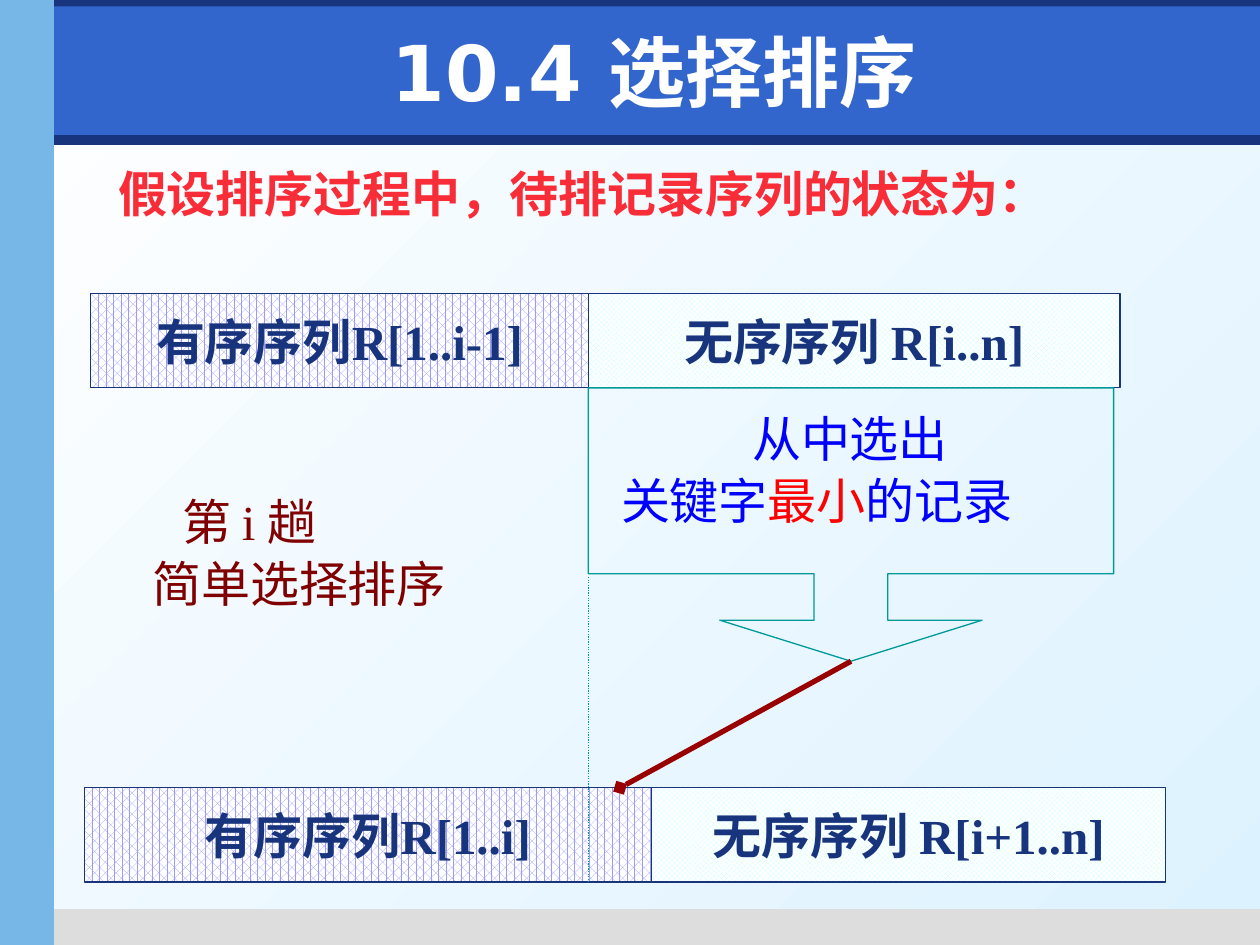
from pptx import Presentation
from pptx.dml.color import RGBColor
from pptx.enum.dml import MSO_LINE_DASH_STYLE as DASH, MSO_PATTERN_TYPE as PATTERN
from pptx.enum.shapes import MSO_CONNECTOR, MSO_SHAPE
from pptx.enum.text import MSO_ANCHOR as ANCHOR, PP_ALIGN as ALIGN
from pptx.oxml.ns import qn
from pptx.util import Cm, Pt
from lxml.etree import SubElement

COLORS = {
    "navy": "17347D", "blue": "3366CC", "sky": "77B7E7", "gray": "DDDDDD",
    "white": "FFFFFF", "pale": "DDF2FF", "lilac": "9999FF", "mint": "CCFFFF",
    "teal": "009999", "rose": "F92D37", "maroon": "800000", "crimson": "990000",
    "ink": "0000FF", "red": "FF0000",
}
SERIF, SANS, CJK = "Times New Roman", "DejaVu Sans", "Noto Sans CJK SC"


def rgb(name):
    return RGBColor.from_string(COLORS[name])


def write(p, text, color="navy", size=28, font=SERIF, bold=False):
    """Append a formatted run to paragraph p."""
    r = p.add_run()
    r.text = text
    r.font.size, r.font.bold, r.font.name = Pt(size), bold, font
    r.font.color.rgb = rgb(color)
    SubElement(r.font._element, qn("a:ea"), typeface=CJK)


class Builder:
    def __init__(self, slide):
        self.s = slide

    def background(self, start, end):
        fill = self.s.background.fill
        fill.gradient()
        fill.gradient_angle = 315
        for stop, name in zip(fill.gradient_stops, (start, end)):
            stop.color.rgb = rgb(name)

    def shape(self, kind, box, line=None):
        sp = self.s.shapes.add_shape(kind, *map(Cm, box))
        sp.shadow.inherit = False
        if line:
            sp.line.color.rgb = rgb(line)
            sp.line.width = Pt(0.75)
        else:
            sp.line.fill.background()
        return sp

    def band(self, color, *box):
        sp = self.shape(MSO_SHAPE.RECTANGLE, box)
        sp.fill.solid()
        sp.fill.fore_color.rgb = rgb(color)
        return sp

    def sequence(self, text, box, pattern, color):
        """Draw one part of a record sequence as a patterned, labelled bar."""
        sp = self.shape(MSO_SHAPE.RECTANGLE, box, "navy")
        sp.fill.patterned()
        sp.fill.pattern = pattern
        sp.fill.fore_color.rgb, sp.fill.back_color.rgb = rgb(color), rgb("white")
        tf = sp.text_frame
        tf.word_wrap, tf.vertical_anchor = False, ANCHOR.MIDDLE
        p = tf.paragraphs[0]
        p.alignment = ALIGN.CENTER
        write(p, text, bold=True)

    def callout(self, box, adjustments):
        sp = self.shape(MSO_SHAPE.DOWN_ARROW_CALLOUT, box, "teal")
        sp.fill.background()
        for i, value in enumerate(adjustments):
            sp.adjustments[i] = value
        return sp

    def text(self, box, lines, wrap=True, spacing=1.05, bold=False):
        """Add a text box; each line is a list of (text, color) pairs."""
        tf = self.s.shapes.add_textbox(*map(Cm, box)).text_frame
        tf.word_wrap = wrap
        for i, line in enumerate(lines):
            p = tf.add_paragraph() if i else tf.paragraphs[0]
            p.line_spacing = spacing
            for text, color in line:
                write(p, text, color, bold=bold)
        return tf.paragraphs

    def line(self, start, end, color, width):
        c = self.s.shapes.add_connector(
            MSO_CONNECTOR.STRAIGHT, *map(Cm, start + end))
        c.line.color.rgb, c.line.width = rgb(color), Pt(width)
        SubElement(c._element.spPr, qn("a:effectLst"))
        return c

    def title(self, text, box, above):
        """Fill the title placeholder and stack it just over another shape."""
        sp = self.s.shapes.title
        sp.left, sp.top, sp.width, sp.height = map(Cm, box)
        sp.text_frame.vertical_anchor = ANCHOR.MIDDLE
        p = sp.text_frame.paragraphs[0]
        p.alignment = ALIGN.CENTER
        write(p, text, "white", 44, SANS, True)
        above.element.addnext(sp.element)


def main():
    prs = Presentation()
    prs.slide_width, prs.slide_height = Cm(25.4), Cm(19.05)
    b = Builder(prs.slides.add_slide(prs.slide_layouts[5]))
    b.background("white", "pale")

    b.band("navy", 0.1, 2.72, 25.4, 0.2)
    b.band("gray", 0.89, 18.33, 24.51, 0.72)
    b.band("navy", 0, -0.08, 25.4, 0.61)
    b.band("blue", 1.09, 0.13, 24.31, 2.59)
    side = b.band("sky", 0, 0, 1.09, 19.05)
    b.title("10.4 选择排序", (1.5, 0.33, 23.39, 2.21), side)

    b.text((2.13, 3.18, 19.46, 1.45),
           [[("假设排序过程中，待排记录序列的状态为：", "rose")]],
           wrap=False, spacing=1, bold=True)

    height = 1.9
    rows = [
        (5.92, 1.83, 11.86, 22.58, "有序序列R[1..i-1]", "无序序列 R[i..n]"),
        (15.88, 1.7, 13.13, 23.5, "有序序列R[1..i]", "无序序列 R[i+1..n]"),
    ]
    for top, left, split, right, ordered, unordered in rows:
        b.sequence(ordered, (left, top, split - left, height),
                   PATTERN.PERCENT_60, "lilac")
        b.sequence(unordered, (split, top, right - split, height),
                   PATTERN.TRELLIS, "mint")

    step = b.text((2.82, 9.73, 8.61, 3.1),
                  [[("第 i 趟", "maroon")], [("简单选择排序", "maroon")]])
    step[0]._p.get_or_add_pPr().set("marL", str(Cm(0.6)))
    choice = b.text((12.27, 8.05, 9.73, 2.77),
                    [[("从中选出", "ink")],
                     [("关键字", "ink"), ("最小", "red"), ("的记录", "ink")]])
    choice[0].alignment = ALIGN.CENTER

    callout = b.callout((11.86, 7.82, 10.59, 5.51), (0.27, 0.48, 0.15, 0.68))
    pick = b.line((17.15, 13.33), (12.5, 15.88), "crimson", 3)
    pick.begin_connect(callout, 2)
    SubElement(pick.line._get_or_add_ln(), qn("a:tailEnd"), type="diamond")
    boundary = b.line((11.86, 11.63), (11.86, 17.78), "teal", 0.75)
    boundary.line.dash_style = DASH.ROUND_DOT

    prs.save("out.pptx")


if __name__ == "__main__":
    main()
